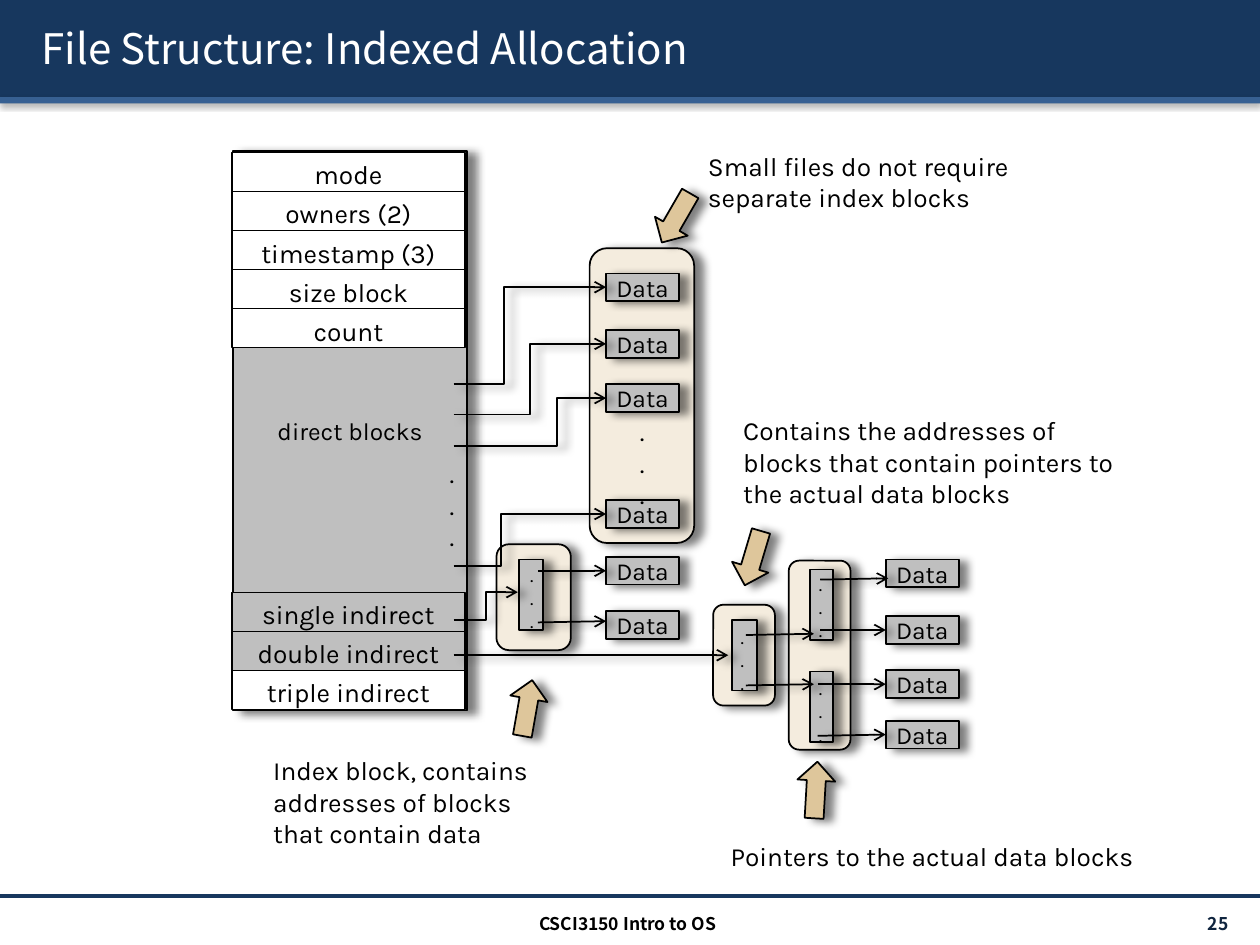
from dataclasses import dataclass

import lxml.etree
import pptx
import pptx.dml.color
import pptx.enum.shapes
import pptx.enum.text
import pptx.oxml.ns
import pptx.util

Inches = pptx.util.Inches
SHAPE = pptx.enum.shapes.MSO_SHAPE
CONNECTOR = pptx.enum.shapes.MSO_CONNECTOR
ALIGN = pptx.enum.text.PP_ALIGN
ANCHOR = pptx.enum.text.MSO_ANCHOR


@dataclass(frozen=True)
class Theme:
    navy: str = "17375E"
    blue: str = "376092"
    number: str = "0F243E"
    black: str = "000000"
    white: str = "FFFFFF"
    gray: str = "BFBFBF"
    cream: str = "F4ECDE"
    tan: str = "DEC69B"
    heading_font: str = "Noto Sans CJK KR"
    body_font: str = "Karla"
    title_size: int = 24
    body_size: int = 15
    data_size: int = 14
    dot_size: int = 11
    footer_size: int = 10


THEME = Theme()
BLOCK_SHADOW = (50, 5, 5, 15)
BAND_SHADOW = (38, 3.1, 1.6, 90)
TITLE_SHADOW = (100, 0, 1.5, 45)
DATA_WIDTH, DATA_HEIGHT = 0.58, 0.22
POINTER_X = 3.6


def rgb(color):
    return pptx.dml.color.RGBColor.from_string(color)


def apply_format(target, values):
    for name, value in values.items():
        setattr(target, name, value)


def add_node(parent, tag, **attributes):
    node = lxml.etree.SubElement(parent, pptx.oxml.ns.qn(tag))
    for name, value in attributes.items():
        node.set(name, str(value))
    return node


def add_effects(properties, shadow):
    effects = add_node(properties, "a:effectLst")
    if shadow:
        opacity, blur, distance, angle = shadow
        outer = add_node(effects, "a:outerShdw", blurRad=int(blur * 12700),
                         dist=int(distance * 12700), dir=angle * 60000,
                         algn="tl", rotWithShape=0)
        color = add_node(outer, "a:srgbClr", val=THEME.black)
        add_node(color, "a:alpha", val=opacity * 1000)
    return effects


def write(shape, lines, size, color=THEME.black, font=THEME.body_font, bold=False,
          align=ALIGN.LEFT, anchor=ANCHOR.TOP, wrap=True):
    apply_format(shape.text_frame, {"word_wrap": wrap, "vertical_anchor": anchor})
    shape.text_frame.text = "\n".join(lines)
    for paragraph in shape.text_frame.paragraphs:
        paragraph.alignment = align
        run_font = paragraph.runs[0].font
        apply_format(run_font, {"name": font, "size": pptx.util.Pt(size), "bold": bold})
        run_font.color.rgb = rgb(color)


def add_text(slide, box, lines, size, **style):
    text = slide.shapes.add_textbox(*map(Inches, box))
    write(text, lines, size, **style)
    return text


def add_block(slide, box, fill, kind=SHAPE.RECTANGLE, outline=1, shadow=BLOCK_SHADOW):
    block = slide.shapes.add_shape(kind, *map(Inches, box))
    block.fill.solid()
    block.fill.fore_color.rgb = rgb(fill)
    if outline:
        block.line.width = pptx.util.Pt(outline)
        block.line.color.rgb = rgb(THEME.black)
    else:
        block.line.fill.background()
    add_effects(block._element.spPr, shadow)
    return block


def add_data(slide, left, top):
    data = add_block(slide, (left, top, DATA_WIDTH, DATA_HEIGHT), THEME.gray)
    write(data, ["Data"], THEME.data_size, align=ALIGN.CENTER,
          anchor=ANCHOR.MIDDLE, wrap=False)
    return data


def add_field(slide, top, label, fill=THEME.white):
    field = add_block(slide, (1.84, top, 1.85, 0.31), fill, outline=0.75, shadow=None)
    write(field, [label], THEME.body_size, align=ALIGN.CENTER)


def add_index(slide, left, top, width, dots_left, dots_top):
    add_block(slide, (left, top, width, 0.56), THEME.gray)
    return add_text(slide, (dots_left, dots_top, 0.23, 0.58), "...", THEME.dot_size)


def add_line(slide, start, end, color, width, shadow=None, kind=CONNECTOR.STRAIGHT):
    line = slide.shapes.add_connector(kind, *map(Inches, (*start, *end)))
    line.line.width = pptx.util.Pt(width)
    line.line.color.rgb = rgb(color)
    add_effects(line._element.spPr, shadow)
    return line


def add_pointer(slide, start, end, bend=None, target=None):
    kind = CONNECTOR.STRAIGHT if bend is None else CONNECTOR.ELBOW
    pointer = add_line(slide, start, end, THEME.black, 1, BLOCK_SHADOW, kind)
    add_node(pointer.line._get_or_add_ln(), "a:tailEnd", type="arrow")
    if bend is not None:
        guides = pointer._element.spPr.prstGeom.get_or_add_avLst()
        add_node(guides, "a:gd", name="adj1", fmla=f"val {int(bend * 100000)}")
    if target is not None:
        pointer.end_connect(target, 1)


def add_callout(slide, box, message, arrow_at, rotation):
    add_text(slide, box, [message], THEME.body_size)
    arrow = add_block(slide, (*arrow_at, 0.45, 0.3), THEME.tan, SHAPE.RIGHT_ARROW)
    arrow.rotation = rotation


def add_frame(slide):
    add_block(slide, (0, 0, 10, 0.77), THEME.navy, outline=0, shadow=BAND_SHADOW)
    add_block(slide, (0, 0.77, 10, 0.05), THEME.blue, outline=0, shadow=BAND_SHADOW)
    add_line(slide, (0, 7.11), (10, 7.11), THEME.navy, 2)
    title = add_text(slide, (0.23, 0.06, 9.61, 0.64), ["File Structure: Indexed Allocation"],
                     THEME.title_size, color=THEME.white, font=THEME.heading_font,
                     anchor=ANCHOR.MIDDLE)
    title_run = title.text_frame.paragraphs[0].runs[0].font._element
    title_run.find(pptx.oxml.ns.qn("a:solidFill")).addnext(add_effects(title_run, TITLE_SHADOW))
    footer = {"font": THEME.heading_font, "bold": True}
    add_text(slide, (8.71, 7.21, 1.17, 0.24), ["25 "], THEME.footer_size,
             color=THEME.number, align=ALIGN.RIGHT, anchor=ANCHOR.MIDDLE, **footer)
    add_text(slide, (3.32, 7.2, 3.32, 0.24), ["CSCI3150 Intro to OS"],
             THEME.footer_size, align=ALIGN.CENTER, **footer)


def add_inode(slide):
    inode = add_block(slide, (1.85, 1.2, 1.86, 4.44), THEME.gray)
    write(inode, ["direct blocks"], THEME.data_size, align=ALIGN.CENTER,
          anchor=ANCHOR.MIDDLE, wrap=False)
    attributes = ["mode", "owners (2)", "timestamp (3)", "size block", "count"]
    for row, label in enumerate(attributes):
        add_field(slide, 1.21 + 0.31 * row, label)
    indirects = [("single indirect", THEME.gray), ("double indirect", THEME.gray),
                 ("triple indirect", THEME.white)]
    for row, (label, fill) in enumerate(indirects):
        add_field(slide, 4.7 + 0.31 * row, label, fill)
    add_text(slide, (3.47, 3.58, 0.23, 0.75), "...", THEME.body_size, wrap=False)


def add_direct_blocks(slide):
    for data_top, pointer_y, bend in [(2.17, 3.05, 0.33), (2.62, 3.29, 0.5),
                                      (3.05, 3.54, 0.68), (3.97, 4.49, 0.31)]:
        add_data(slide, 4.81, data_top)
        add_pointer(slide, (POINTER_X, pointer_y), (4.81, data_top + DATA_HEIGHT / 2), bend)
    add_text(slide, (4.98, 3.25, 0.23, 0.75), "...", THEME.body_size, wrap=False)


def add_single_indirect(slide):
    first, second = [add_data(slide, 4.81, top) for top in (4.42, 4.85)]
    add_index(slide, 4.12, 4.44, 0.19, 4.11, 4.42)
    add_pointer(slide, (POINTER_X, 4.92), (4.11, 4.7), 0.5)
    add_pointer(slide, (4.27, 4.53), (4.81, 4.53), target=first)
    add_pointer(slide, (4.27, 4.94), (4.81, 4.93))


def add_double_indirect(slide):
    data = [add_data(slide, 7.03, top) for top in (4.44, 4.89, 5.32, 5.72)]
    for top, dots_top in [(4.52, 4.49), (5.33, 5.32)]:
        add_index(slide, 6.43, top, 0.18, 6.4, dots_top)
    outer_index = add_index(slide, 5.81, 4.92, 0.2, 5.78, 4.91)
    add_pointer(slide, (POINTER_X, 5.2), (5.78, 5.2), target=outer_index)
    for y in (5.04, 5.44):
        add_pointer(slide, (5.92, y), (6.46, y - 0.01))
    add_pointer(slide, (6.51, 4.6), (7.05, 4.59))
    for start, target in zip([(6.51, 5), (6.49, 5.43), (6.49, 5.84)], data[1:]):
        add_pointer(slide, start, (7.03, start[1]), target=target)


def main():
    deck = pptx.Presentation()
    apply_format(deck, {"slide_width": Inches(10), "slide_height": Inches(7.5)})
    slide = deck.slides.add_slide(deck.slide_layouts[6])
    add_frame(slide)
    for group in [(5.66, 4.8, 0.49, 0.8), (6.26, 4.45, 0.49, 1.5),
                  (3.94, 4.32, 0.59, 0.84), (4.68, 1.97, 0.83, 2.34)]:
        add_block(slide, group, THEME.cream, SHAPE.ROUNDED_RECTANGLE)
    for add_part in (add_inode, add_direct_blocks, add_single_indirect, add_double_indirect):
        add_part(slide)
    add_callout(slide, (5.52, 1.14, 3.12, 0.61),
                "Small files do not require separate index blocks", (5.14, 1.58), 120)
    add_callout(slide, (2.07, 5.94, 2.51, 0.86),
                "Index block, contains addresses of blocks that contain data", (3.96, 5.47), 280)
    add_callout(slide, (5.8, 3.24, 3.31, 0.86),
                "Contains the addresses of blocks that contain pointers to the actual data blocks",
                (5.75, 4.28), 106.6)
    add_callout(slide, (5.7, 6.62, 3.71, 0.35),
                "Pointers to the actual data blocks", (6.25, 6.12), 273.3)
    deck.save("out.pptx")


if __name__ == "__main__":
    main()
